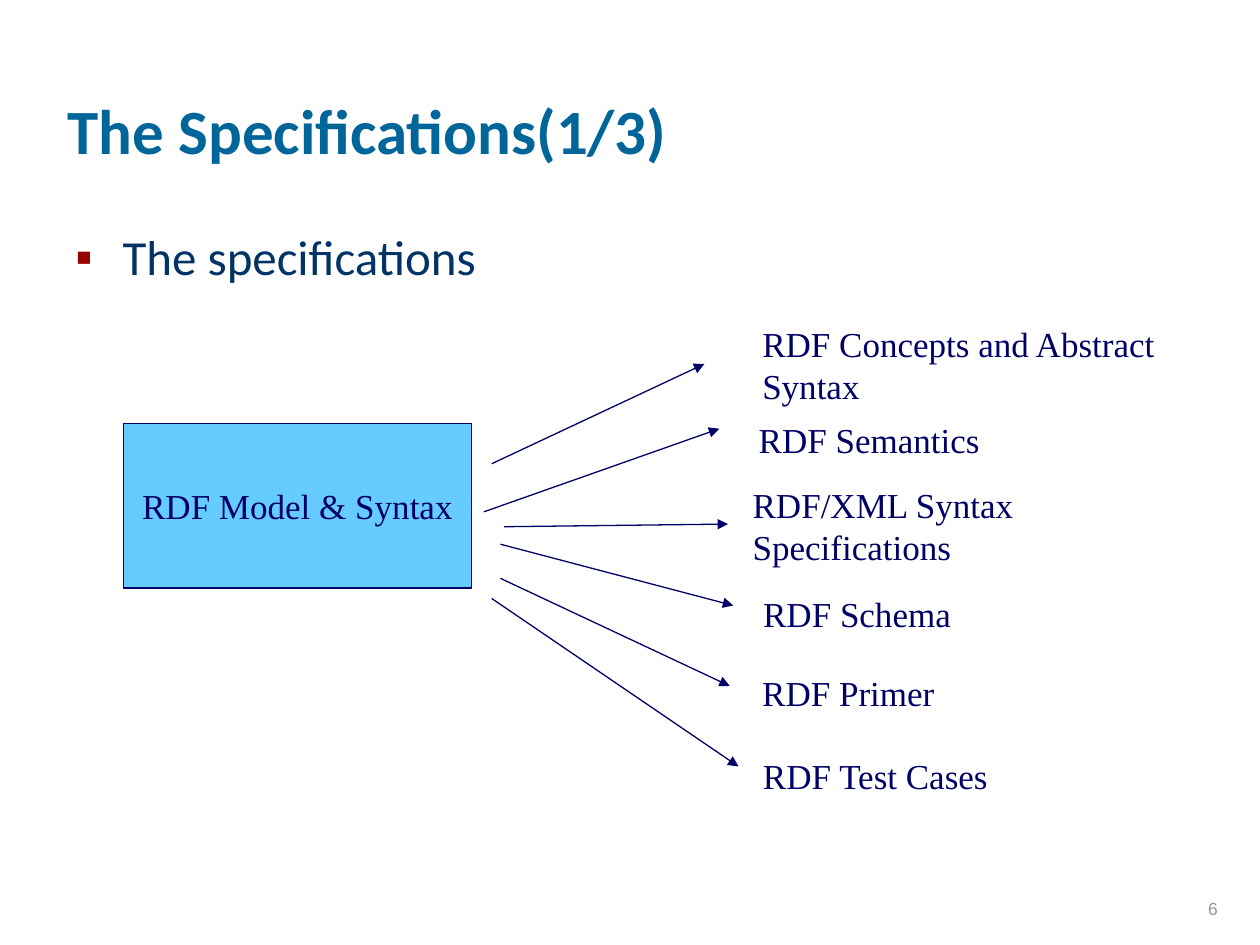
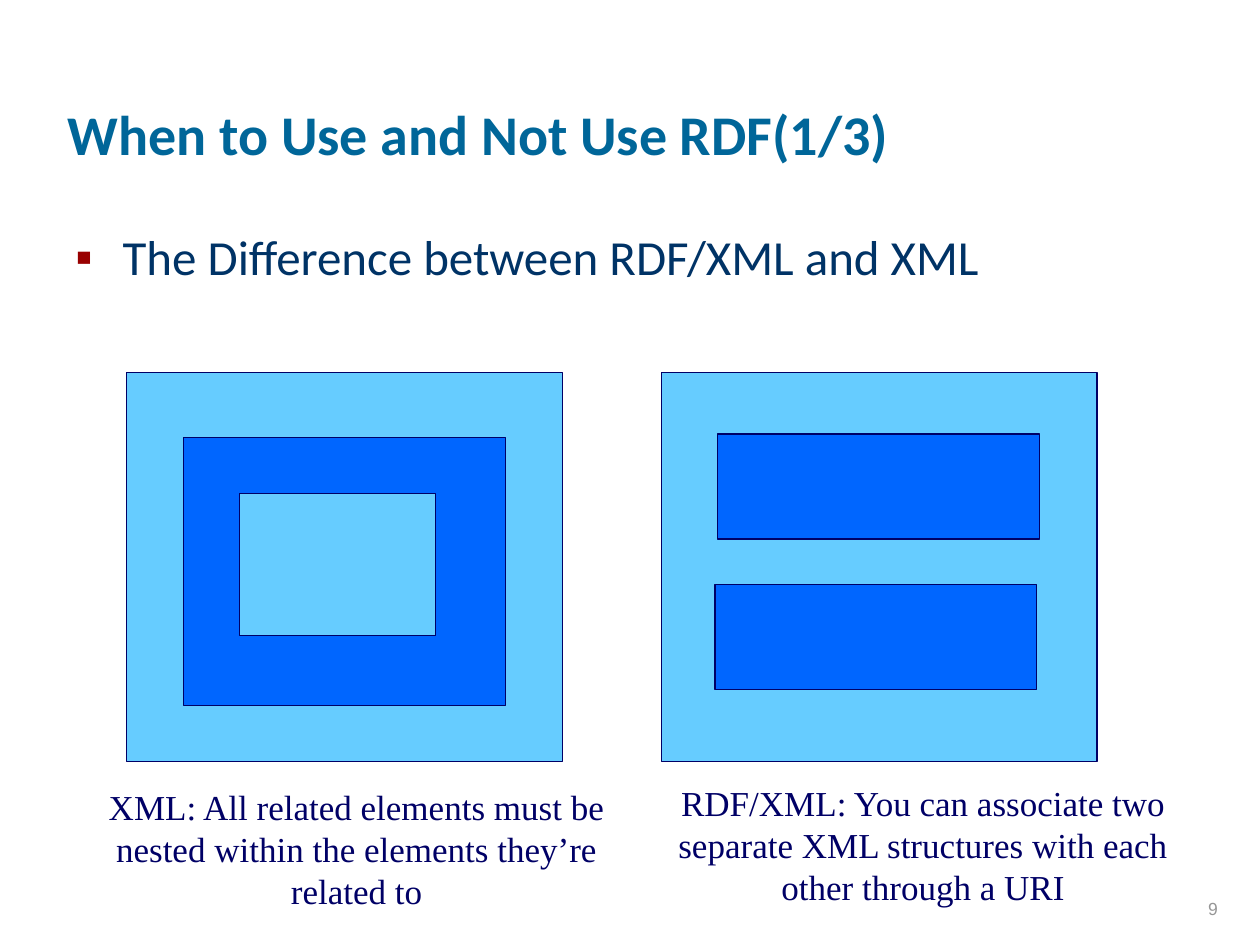
from lxml import etree
from pptx import Presentation
from pptx.dml.color import RGBColor
from pptx.enum.shapes import MSO_CONNECTOR, MSO_SHAPE
from pptx.enum.text import MSO_ANCHOR, MSO_AUTO_SIZE, PP_ALIGN
from pptx.oxml.ns import qn
from pptx.util import Pt

LEFT, MID, RIGHT = PP_ALIGN.LEFT, PP_ALIGN.CENTER, PP_ALIGN.RIGHT
TOP, CENTER, LOW = MSO_ANCHOR.TOP, MSO_ANCHOR.MIDDLE, MSO_ANCHOR.BOTTOM
FIXED, GROW = MSO_AUTO_SIZE.NONE, MSO_AUTO_SIZE.SHAPE_TO_FIT_TEXT
RECT, LINE = MSO_SHAPE.RECTANGLE, MSO_CONNECTOR.STRAIGHT

COLORS = {
    "title": "006699", "body": "003366", "bullet": "990000",
    "ink": "000066", "sky": "66CCFF", "blue": "0066FF", "page": "969696",
}
FONTS = {
    "title": {"name": "Calibri", "size": Pt(36), "bold": True},
    "body": {"name": "Calibri", "size": Pt(28)},
    "ink": {"name": "Times New Roman", "size": Pt(20)},
    "page": {"name": "Arial", "size": Pt(10)},
}


def color(key):
    return RGBColor.from_string(COLORS[key])


def points(*nums):
    return [Pt(num) for num in nums]


class Deck:
    def __init__(self):
        self.prs = Presentation()
        self.prs.slide_width, self.prs.slide_height = points(720, 540)
        self.slide = None

    def style(self, shape, text, key, align=LEFT, anchor=TOP, fit=FIXED,
              wrap=True, bullet=False, size=None):
        frame = shape.text_frame
        look = {"word_wrap": wrap, "auto_size": fit, "vertical_anchor": anchor}
        for name, value in look.items():
            setattr(frame, name, value)
        para = frame.paragraphs[0]
        para.text = text
        para.alignment = align
        if bullet:
            self.bullet(para)
        for name, value in FONTS[key].items():
            setattr(para.font, name, value)
        if size:
            para.font.size = Pt(size)
        para.font.color.rgb = color(key)

    def bullet(self, para):
        props = para._p.get_or_add_pPr()
        props.set("marL", str(Pt(27)))
        props.set("indent", str(Pt(-27)))
        tint = etree.SubElement(props, qn("a:buClr"))
        etree.SubElement(tint, qn("a:srgbClr"), val=COLORS["bullet"])
        etree.SubElement(props, qn("a:buFont"), typeface="Arial")
        etree.SubElement(props, qn("a:buChar"), char="▪")

    def text(self, box, text, key="ink", **look):
        shape = self.slide.shapes.add_textbox(*points(*box))
        self.style(shape, text, key, **look)

    def page(self, title, point, number, size=None):
        self.slide = self.prs.slides.add_slide(self.prs.slide_layouts[5])
        head = self.slide.shapes.title
        head.left, head.top, head.width, head.height = points(31.5, 9, 612, 90)
        self.style(head, title, "title", anchor=LOW, size=size)
        self.text((36, 126, 644, 351), point, "body", bullet=True)
        self.text((553, 492.5, 150, 36), number, "page", align=RIGHT, anchor=LOW)

    def label(self, box, text, align=MID):
        self.text(box, text, align=align, fit=GROW)

    def rect(self, box, fill="sky", text=None):
        shape = self.slide.shapes.add_shape(RECT, *points(*box))
        shape.shadow.inherit = False
        shape.fill.solid()
        shape.fill.fore_color.rgb = color(fill)
        self.stroke(shape)
        if text:
            self.style(shape, text, "ink", align=MID, anchor=CENTER, wrap=False)

    def stroke(self, shape):
        shape.line.color.rgb = color("ink")
        shape.line.width = Pt(0.75)

    def arrow(self, *ends):
        line = self.slide.shapes.add_connector(LINE, *points(*ends))
        self.stroke(line)
        props = line._element.spPr
        etree.SubElement(props.find(qn("a:ln")), qn("a:tailEnd"), type="triangle")
        etree.SubElement(props, qn("a:effectLst"))


def specs(deck):
    deck.page("The Specifications(1/3)", "The specifications", "6")
    deck.rect((70.5, 242, 199, 94), text="RDF Model & Syntax")
    parts = [
        ("RDF Concepts and Abstract Syntax", (428.5, 181, 255, 55.5), LEFT,
         (281, 265, 402.5, 208)),
        ("RDF Semantics", (419, 235.5, 155.5, 31.5), MID,
         (276.5, 292.5, 411, 245)),
        ("RDF/XML Syntax Specifications", (423, 272.5, 243.5, 55.5), LEFT,
         (288, 301, 416, 299.5)),
        ("RDF Schema", (385, 335, 209.5, 31.5), MID,
         (286, 311, 419, 346)),
        ("RDF Primer", (380, 380, 209.5, 31.5), MID,
         (286, 330.5, 417, 392)),
        ("RDF Test Cases", (395.5, 427.5, 209.5, 31.5), MID,
         (281, 342, 422, 438)),
    ]
    for text, box, align, ends in parts:
        deck.label(box, text, align)
        deck.arrow(*ends)


def usage(deck):
    deck.page("When to Use and Not Use RDF(1/3)",
              "The Difference between RDF/XML and XML", "9", size=32)
    for left in (72.5, 378):
        deck.rect((left, 213, 249, 222))
    deck.rect((105, 250, 184, 153), "blue")
    deck.rect((137, 282, 112, 81))
    for left, top in ((410, 248), (408.5, 334)):
        deck.rect((left, top, 184, 60), "blue")
    deck.label((45, 445.5, 317.5, 79),
               "XML: All related elements must be nested within the elements "
               "they’re related to")
    deck.label((375, 443, 305, 79),
               "RDF/XML: You can associate two separate XML structures with "
               "each other through a URI")


def main():
    deck = Deck()
    specs(deck)
    usage(deck)
    deck.prs.save("out.pptx")


if __name__ == "__main__":
    main()
